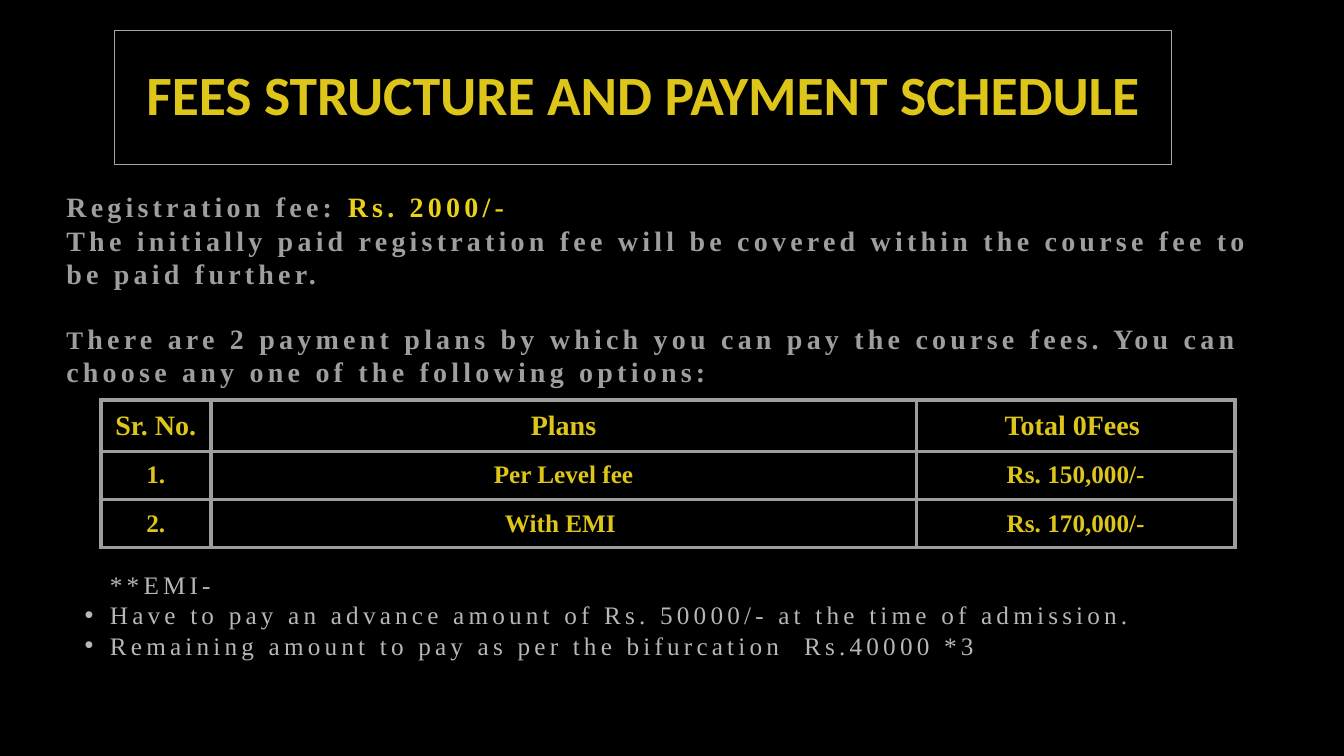
import pptx
import pptx.dml.color
import pptx.enum.text
import pptx.oxml
import pptx.oxml.ns
import pptx.util

WIDTH, HEIGHT = pptx.util.Inches(13.33), pptx.util.Inches(7.5)
GOLD, BRIGHT_GOLD = "DDC619", "EAD119"
GREY, LIGHT_GREY = "9E9E9E", "B7B7B7"
SERIF = "Times New Roman"
CENTER = pptx.enum.text.PP_ALIGN.CENTER
LEFT = pptx.enum.text.PP_ALIGN.LEFT
MIDDLE = pptx.enum.text.MSO_ANCHOR.MIDDLE
TOP = pptx.enum.text.MSO_ANCHOR.TOP


def rgb(color):
    return pptx.dml.color.RGBColor.from_string(color)


def area(left, top, width, height):
    """Turn percentages of the slide into a position and a size."""
    return [int(total * share / 100) for total, share in
            zip((WIDTH, HEIGHT, WIDTH, HEIGHT), (left, top, width, height))]


def place(sp, box):
    sp.left, sp.top, sp.width, sp.height = box


def xml(tag, content="", **attrs):
    pairs = " ".join(f'{name}="{value}"' for name, value in attrs.items())
    ns = pptx.oxml.ns.nsdecls("a")
    return pptx.oxml.parse_xml(f"<a:{tag} {ns} {pairs}>{content}</a:{tag}>")


def style(r, size, color, font=SERIF, bold=False, spacing=0):
    r.font.size = pptx.util.Pt(size)
    r.font.name = font
    r.font.bold = bold
    r.font.color.rgb = rgb(color)
    if spacing:
        r.font._element.set("spc", str(spacing * 100))


def setup_frame(tf, anchor):
    tf.word_wrap = True
    tf.auto_size = pptx.enum.text.MSO_AUTO_SIZE.NONE
    tf.vertical_anchor = anchor


def add_title(s, text, box):
    sp = s.shapes.title
    place(sp, box)
    sp.line.color.rgb = rgb("A6A6A6")
    sp.line.width = pptx.util.Pt(0.75)
    setup_frame(sp.text_frame, MIDDLE)
    p = sp.text_frame.paragraphs[0]
    p.text = text
    p.alignment = CENTER
    p.line_spacing = 0.9
    style(p.runs[0], 39.6, GOLD, "Calibri", True)


def add_paragraphs(s, paragraphs, box):
    """Each paragraph is a gap before it and its (text, size, color) runs."""
    tf = s.shapes.add_textbox(*box).text_frame
    setup_frame(tf, MIDDLE)
    for i, (gap, runs) in enumerate(paragraphs):
        p = tf.add_paragraph() if i else tf.paragraphs[0]
        p.space_before = pptx.util.Pt(gap)
        for text, size, color in runs:
            r = p.add_run()
            r.text = text
            style(r, size, color, bold=True, spacing=3)


def add_list(s, heading, items, box):
    sp = s.placeholders[1]
    place(sp, box)
    tf = sp.text_frame
    setup_frame(tf, TOP)
    tf.text = "\n".join([heading, *items])
    for i, p in enumerate(tf.paragraphs):
        p.alignment = LEFT
        p.space_before = pptx.util.Pt(0)
        style(p.runs[0], 18, LIGHT_GREY, spacing=3)
        pPr = p._p.get_or_add_pPr()
        pPr.set("marL", str(pptx.util.Inches(0.5)))
        pPr.set("indent", str(pptx.util.Inches(-0.25 if i else 0)))
        if i:
            pPr.append(xml("buFont", typeface="Arial"))
            pPr.append(xml("buChar", char="•"))
        else:
            pPr.append(xml("buNone"))


def set_borders(cell, color, width):
    tcPr = cell._tc.get_or_add_tcPr()
    fill = f'<a:solidFill><a:srgbClr val="{color}"/></a:solidFill>'
    for i, side in enumerate(("lnL", "lnR", "lnT", "lnB")):
        tcPr.insert(i, xml(side, fill, w=pptx.util.Pt(width)))


def add_fee_table(s, rows, box, columns, row_heights):
    """Column widths and row heights are percentages of the slide."""
    table = s.shapes.add_table(len(rows), len(columns), *box).table
    table.first_row = table.horz_banding = False
    for column, share in zip(table.columns, columns):
        column.width = int(WIDTH * share / 100)
    for row, share in zip(table.rows, row_heights):
        row.height = int(HEIGHT * share / 100)
    for i, row in enumerate(rows):
        for cell, text in zip(table.rows[i].cells, row):
            cell.fill.background()
            cell.margin_left = cell.margin_right = pptx.util.Inches(0.1)
            cell.margin_top = cell.margin_bottom = pptx.util.Inches(0.1)
            set_borders(cell, GREY, 3)
            p = cell.text_frame.paragraphs[0]
            p.text = text
            p.alignment = CENTER
            style(p.runs[0], 18 if i else 20, GOLD, bold=True)


def main():
    prs = pptx.Presentation()
    prs.slide_width, prs.slide_height = WIDTH, HEIGHT
    s = prs.slides.add_slide(prs.slide_layouts[1])
    s.background.fill.solid()
    s.background.fill.fore_color.rgb = rgb("000000")

    # Plans and their fees
    add_fee_table(s, [
        ("Sr. No.", "Plans", "Total 0Fees "),
        ("1.", "Per Level fee", "Rs. 150,000/-"),
        ("2.", "With EMI ", "Rs. 170,000/-"),
    ], area(7.5, 52.93, 84.4, 18), (8.18, 52.51, 23.71), (6.27, 5.87, 5.87))

    # Registration fee and introduction to the plans
    add_paragraphs(s, [
        (0, [("Registration fee: ", 20, GREY), ("Rs. 2000/-", 20, BRIGHT_GOLD)]),
        (0, [("The initially paid registration fee will be covered within "
              "the course fee to be paid further.", 20, GREY)]),
        (22, [("T", 18, GREY),
              ("here are 2 payment plans by which you can pay the course fees. "
               "You can choose any one of the following options:", 20, GREY)]),
    ], area(4.2, 24.27, 90.92, 27.87))

    # Instalment terms
    add_list(s, "**EMI-", [
        "Have to pay an advance amount of Rs. 50000/- at the time of admission.",
        "Remaining amount to pay as per the bifurcation  Rs.40000 *3",
    ], area(3.68, 74.67, 88.3, 13.47))

    # Heading
    add_title(s, "FEES STRUCTURE AND PAYMENT SCHEDULE",
              area(8.55, 4, 78.62, 17.73))

    prs.save("out.pptx")


if __name__ == "__main__":
    main()
